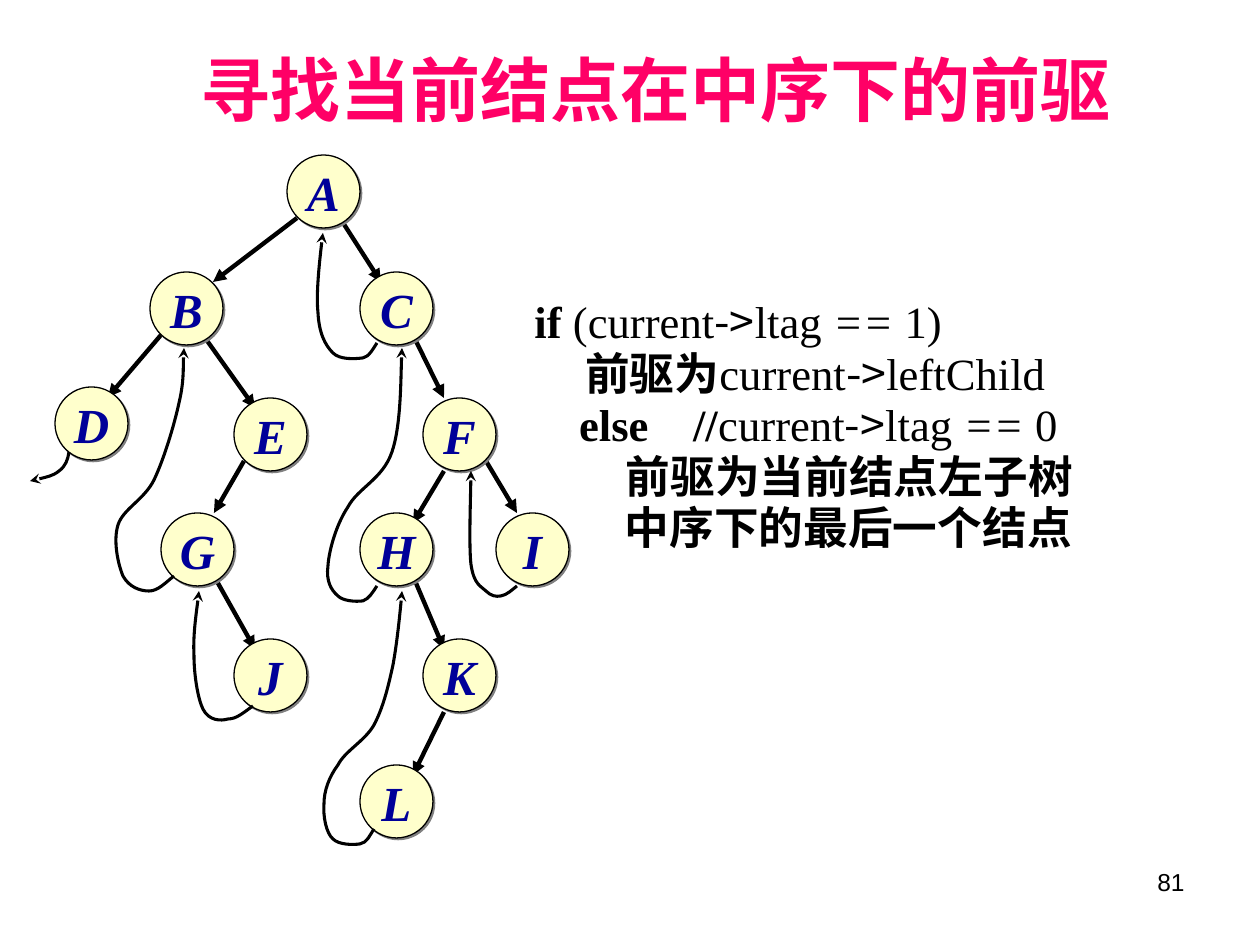
from dataclasses import dataclass
from typing import NamedTuple

from lxml import etree
from pptx import Presentation, util as u
from pptx.dml.color import RGBColor
from pptx.enum import shapes, text
from pptx.oxml.ns import qn

PX = u.Inches(1) / 126
NODE_SIZE = 73


@dataclass(frozen=True)
class Theme:
    title: str = "FF0066"
    ink: str = "000000"
    node_fill: str = "FFFFCC"
    node_text: str = "000099"
    shadow: str = "808080"
    sans: str = "Arial"
    serif: str = "Times New Roman"
    chinese: str = "Noto Sans CJK SC"
    title_size: float = 40
    code_size: float = 25.5
    node_size: float = 28
    number_size: float = 14
    edge_width: float = 2.5
    thread_width: float = 1.75
    outline_width: float = 0.75


THEME = Theme()


class Run(NamedTuple):
    text: str
    bold: bool = False
    italic: bool = False
    font: str = THEME.serif


class Node(NamedTuple):
    left: int
    top: int


class Edge(NamedTuple):
    """Parent and child, with the end points as offsets inside each node."""
    parent: str
    child: str
    start: tuple[int, int] = (53, 63)
    end: tuple[int, int] = (21, 10)


ARROW = Run("->", font=THEME.chinese)
CODE = [
    [Run("if", bold=True), Run(" (current"), ARROW, Run("ltag "),
     Run("== ", italic=True), Run("1)")],
    [Run("     前驱为", bold=True), Run("current"), ARROW, Run("leftChild")],
    [Run("    else    //", bold=True), Run("current"), ARROW, Run("ltag "),
     Run("== ", italic=True), Run("0")],
    [Run("         前驱为当前结点左子树", bold=True)],
    [Run("         "), Run("中序下的最后一个结点", bold=True)],
]

NODES = {
    "A": Node(287, 155), "B": Node(150, 272), "C": Node(360, 272),
    "D": Node(55, 387), "E": Node(234, 398), "F": Node(423, 398),
    "G": Node(161, 513), "H": Node(360, 513), "I": Node(496, 513),
    "J": Node(234, 639), "K": Node(423, 639), "L": Node(360, 765),
}

EDGES = [
    Edge("A", "B", start=(10, 63), end=(63, 10)),
    Edge("A", "C"),
    Edge("B", "D", start=(11, 63), end=(53, 10)),
    Edge("B", "E"),
    Edge("C", "F", end=(21, 0)),
    Edge("E", "G", start=(10, 63), end=(53, 0)),
    Edge("F", "H", start=(21, 73), end=(53, 10)),
    Edge("F", "I", start=(63, 63), end=(21, 0)),
    Edge("G", "J"),
    Edge("H", "K"),
    Edge("K", "L", start=(21, 73), end=(53, 10)),
]

# Each thread is a start point followed by triples of Bézier points
THREADS = {
    "I to F": [(517, 586), (512, 590), (507, 595), (501, 596),
               (496, 597), (491, 596), (486, 591),
               (481, 586), (474, 585), (471, 564),
               (469, 546), (471, 488), (471, 471)],
    "L to H": [(374, 829), (370, 835), (367, 843), (360, 844),
               (353, 845), (339, 845), (333, 839),
               (326, 833), (323, 816), (324, 804),
               (324, 791), (329, 777), (338, 765),
               (345, 751), (365, 741), (374, 725),
               (383, 708), (388, 688), (393, 665),
               (397, 643), (401, 604), (402, 591)],
    "H to C": [(377, 586), (373, 592), (369, 599), (363, 601),
               (355, 602), (343, 601), (338, 596),
               (331, 590), (326, 581), (328, 566),
               (329, 551), (336, 525), (348, 507),
               (358, 488), (383, 479), (392, 452),
               (401, 426), (401, 365), (402, 348)],
    "C to A": [(377, 343), (373, 349), (369, 357), (363, 358),
               (355, 359), (340, 360), (333, 353),
               (325, 345), (319, 333), (318, 312),
               (316, 294), (321, 247), (323, 233)],
    "J to G": [(253, 706), (244, 712), (237, 719), (228, 719),
               (221, 721), (209, 721), (203, 709),
               (198, 699), (194, 675), (194, 655),
               (193, 635), (198, 601), (199, 591)],
    "G to B": [(174, 576), (165, 583), (158, 591), (149, 591),
               (140, 591), (129, 587), (123, 576),
               (118, 564), (113, 541), (118, 525),
               (123, 509), (144, 500), (154, 480),
               (164, 459), (174, 426), (179, 403),
               (184, 382), (183, 357), (184, 348)],
    "D to nothing": [(69, 452), (68, 459), (66, 466), (59, 471),
                     (53, 476), (35, 480), (30, 481)],
}


def px(*lengths: int) -> list[int]:
    return [round(length * PX) for length in lengths]


def write(frame, lines: list[list[Run]], *, size: float, color: str,
          align=text.PP_ALIGN.LEFT, anchor=text.MSO_ANCHOR.TOP, wrap: bool = True,
          line_spacing: float = 1.0, space_before: float = 0, hanging: int = 0) -> None:
    frame.word_wrap = wrap
    frame.auto_size = text.MSO_AUTO_SIZE.NONE
    frame.vertical_anchor = anchor
    for index, line in enumerate(lines):
        paragraph = frame.add_paragraph() if index else frame.paragraphs[0]
        paragraph.alignment = align
        paragraph.line_spacing = line_spacing
        paragraph.space_before = u.Pt(space_before if index else 0)
        if hanging:
            properties = paragraph._p.get_or_add_pPr()
            properties.set("marL", str(px(hanging)[0]))
            properties.set("indent", str(-px(hanging)[0]))
        for part in line:
            run = paragraph.add_run()
            run.text = part.text
            font = run.font
            font.size, font.bold, font.italic = u.Pt(size), part.bold, part.italic
            font.color.rgb = RGBColor.from_string(color)
            font.name = part.font
            east_asian = etree.Element(qn("a:ea"), typeface=THEME.chinese)
            run._r.rPr.find(qn("a:latin")).addnext(east_asian)


def style_line(line, width: float, head: str = "") -> None:
    line.color.rgb = RGBColor.from_string(THEME.ink)
    line.width = u.Pt(width)
    if head:
        etree.SubElement(line._get_or_add_ln(), qn("a:tailEnd"), type=head)


def draw_edge(slide, edge: Edge) -> None:
    parent, child = NODES[edge.parent], NODES[edge.child]
    connector = slide.shapes.add_connector(
        shapes.MSO_CONNECTOR.STRAIGHT,
        *px(parent.left + edge.start[0], parent.top + edge.start[1],
            child.left + edge.end[0], child.top + edge.end[1]))
    style_line(connector.line, THEME.edge_width, "triangle")
    etree.SubElement(connector._element.spPr, qn("a:effectLst"))


def draw_node(slide, name: str, node: Node) -> None:
    shape = slide.shapes.add_shape(
        shapes.MSO_SHAPE.OVAL, *px(node.left, node.top, NODE_SIZE, NODE_SIZE))
    shape.fill.solid()
    shape.fill.fore_color.rgb = RGBColor.from_string(THEME.node_fill)
    style_line(shape.line, THEME.outline_width)
    shape.shadow.inherit = False
    effects = shape._element.spPr.find(qn("a:effectLst"))
    shadow = etree.SubElement(effects, qn("a:outerShdw"), dist=str(u.Pt(1.4)),
                              dir="2700000", algn="ctr", rotWithShape="0")
    etree.SubElement(shadow, qn("a:srgbClr"), val=THEME.shadow)
    write(shape.text_frame, [[Run(name, bold=True, italic=True)]],
          size=THEME.node_size, color=THEME.node_text, wrap=False,
          align=text.PP_ALIGN.CENTER, anchor=text.MSO_ANCHOR.MIDDLE)


def draw_thread(slide, points: list[tuple[int, int]]) -> None:
    builder = slide.shapes.build_freeform(*points[0], scale=PX)
    builder.add_line_segments(points[1:], close=False)
    shape = builder.convert_to_shape()
    # Join every three straight segments into one Bézier segment
    segments = list(shape._element.iter(qn("a:lnTo")))
    for first in range(0, len(segments), 3):
        curve = etree.Element(qn("a:cubicBezTo"))
        segments[first].addprevious(curve)
        for segment in segments[first:first + 3]:
            curve.append(segment[0])
            segment.getparent().remove(segment)
    shape.fill.background()
    shape.shadow.inherit = False
    style_line(shape.line, THEME.thread_width, "stealth")


def main() -> None:
    presentation = Presentation()
    presentation.slide_width, presentation.slide_height = px(1260, 945)
    slide = presentation.slides.add_slide(presentation.slide_layouts[5])

    # Title
    title = slide.shapes.title
    title.left, title.top, title.width, title.height = px(157, 10, 997, 157)
    write(title.text_frame, [[Run("寻找当前结点在中序下的前驱", bold=True, font=THEME.sans)]],
          size=THEME.title_size, color=THEME.title,
          align=text.PP_ALIGN.CENTER, anchor=text.MSO_ANCHOR.MIDDLE)

    # Pseudocode
    code = slide.shapes.add_textbox(*px(522, 294, 735, 382))
    write(code.text_frame, CODE, size=THEME.code_size, color=THEME.ink,
          line_spacing=0.9, space_before=1.9, hanging=48)

    # Threaded tree
    for edge in EDGES:
        draw_edge(slide, edge)
    for name, node in NODES.items():
        draw_node(slide, name, node)
    for points in THREADS.values():
        draw_thread(slide, points)

    # Slide number
    number = slide.shapes.add_textbox(*px(903, 861, 294, 66))
    write(number.text_frame, [[Run("81", font=THEME.sans)]],
          size=THEME.number_size, color=THEME.ink, align=text.PP_ALIGN.RIGHT)

    presentation.save("out.pptx")


if __name__ == "__main__":
    main()
